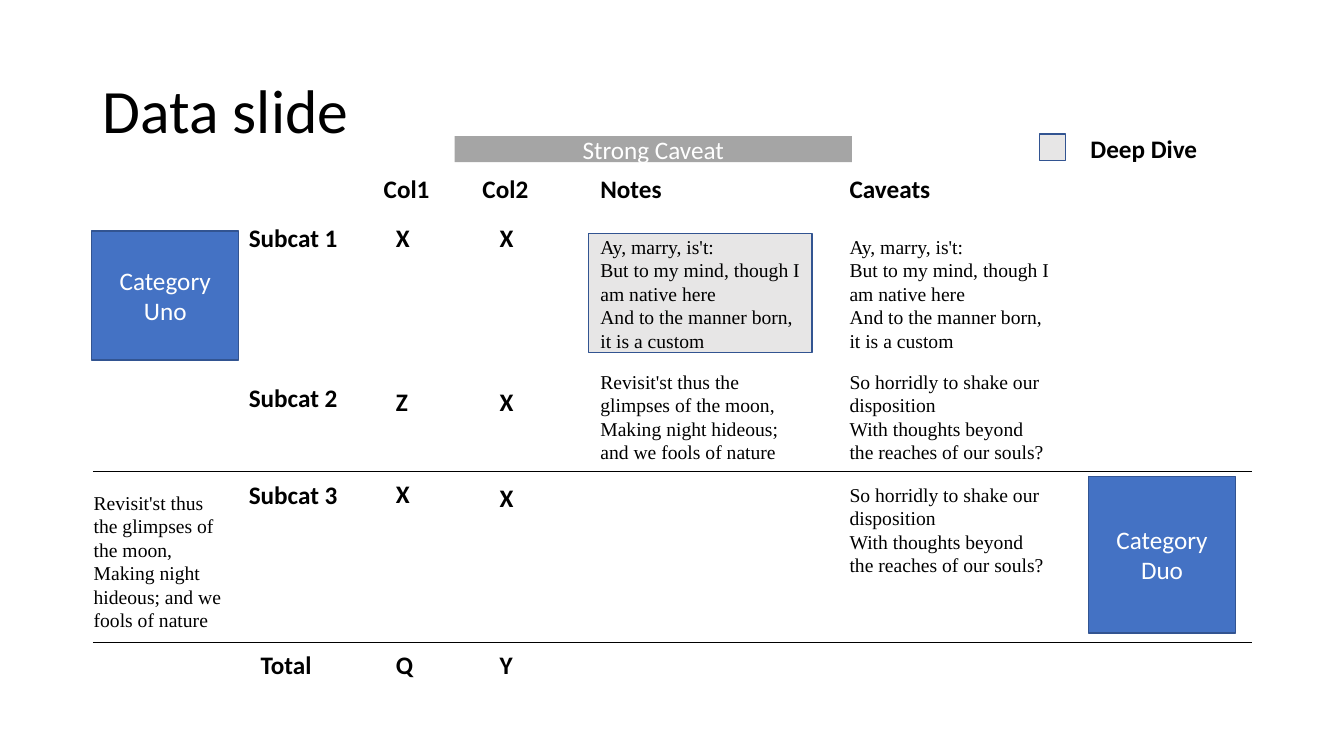
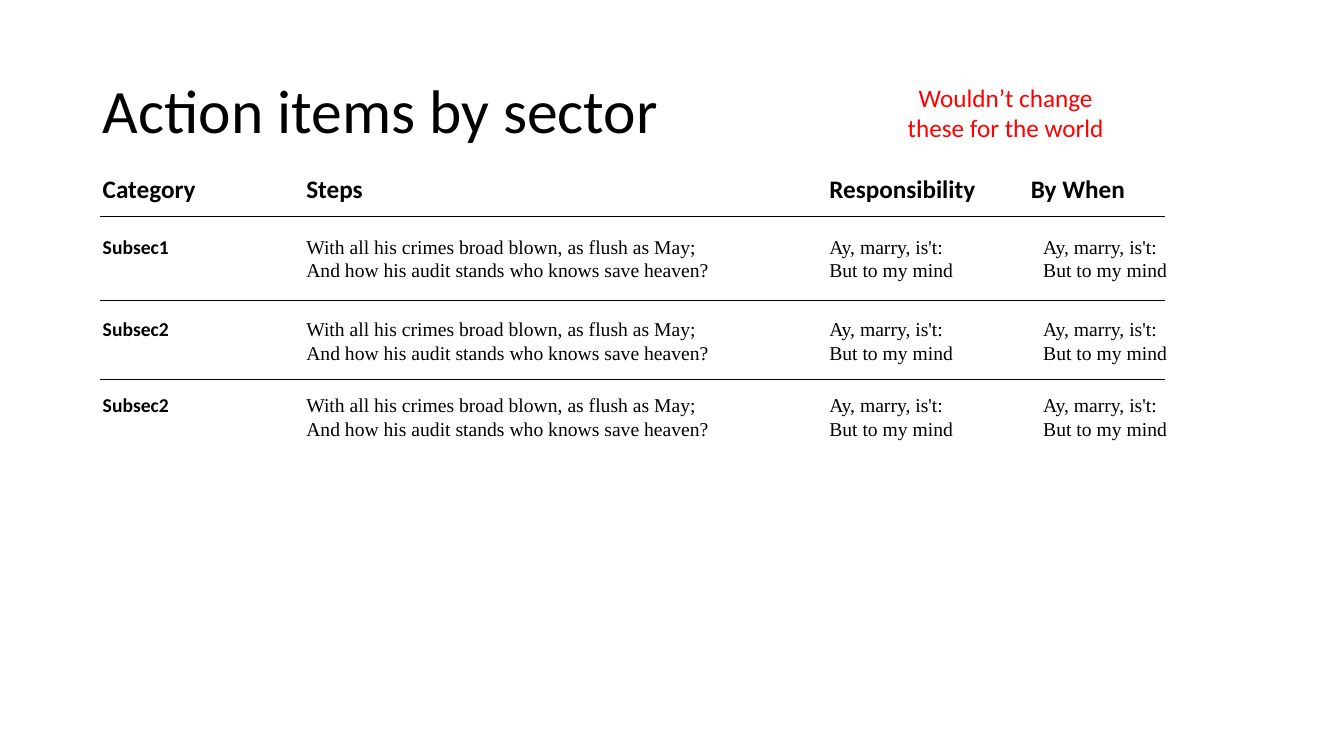
"""Build a data slide and an action-item slide."""
from pptx import Presentation
from pptx.dml.color import RGBColor
from pptx.enum import shapes, text
from pptx.oxml import ns
from pptx.util import Cm, Pt
from lxml import etree

BLACK = RGBColor(0x00, 0x00, 0x00)
WHITE = RGBColor(0xFF, 0xFF, 0xFF)
RED = RGBColor(0xFF, 0x00, 0x00)
BLUE = RGBColor(0x44, 0x72, 0xC4)
NAVY = RGBColor(0x32, 0x54, 0x91)
GRAY = RGBColor(0xA5, 0xA5, 0xA5)
PALE = RGBColor(0xE7, 0xE6, 0xE6)

SANS = "Calibri"
SERIF = "Times New Roman"
LEFT = 2.34
HEAD_Y = 4.24
BODY_Y = 5.79

MARRY = "Ay, marry, is't:\nBut to my mind"
CUSTOM = MARRY + ", though I am native here\nAnd to the manner born, it is a custom"
MOON = ("Revisit'st thus the glimpses of the moon,\n"
        "Making night hideous; and we fools of nature")
SOULS = ("So horridly to shake our disposition\n"
         "With thoughts beyond the reaches of our souls?")
CRIMES = ("With all his crimes broad blown, as flush as May;\n"
          "And how his audit stands who knows save heaven?")


def write(frame, words, size, font=SANS, color=BLACK, bold=False):
    """Fill a frame with one paragraph, one run per line."""
    frame.word_wrap = True
    para = frame.paragraphs[0]
    for num, line in enumerate(words.split("\n")):
        if num:
            para.add_line_break()
        run = para.add_run()
        run.text = line
        run.font.size = Pt(size)
        run.font.name = font
        run.font.bold = bold
        run.font.color.rgb = color
    return para


def add_text(slide, words, x, y, w, h, size, **style):
    """Add a text box and return its frame and paragraph."""
    frame = slide.shapes.add_textbox(Cm(x), Cm(y), Cm(w), Cm(h)).text_frame
    return frame, write(frame, words, size, **style)


def add_title(slide, words):
    """Add the slide title."""
    frame, para = add_text(slide, words, LEFT, 1.02, 29.21, 3.68, 44)
    frame.vertical_anchor = text.MSO_ANCHOR.MIDDLE
    para.line_spacing = 0.9


def add_label(slide, words, x, y, w=3.38, size=18):
    """Add a bold one-line label."""
    add_text(slide, words, x, y, w, 1.02 if size == 18 else 0.86, size, bold=True)


def add_note(slide, words, x, y, w=5.61, rows=4):
    """Add a serif note that is a given number of rows tall."""
    add_text(slide, words, x, y, w, 0.27 + 0.6 * rows, 14, font=SERIF)


def add_box(slide, x, y, w, h, fill, edge=NAVY, words=""):
    """Add a rectangle with optional centred white text."""
    box = slide.shapes.add_shape(shapes.MSO_SHAPE.RECTANGLE,
                                 Cm(x), Cm(y), Cm(w), Cm(h))
    box.shadow.inherit = False
    box.fill.solid()
    box.fill.fore_color.rgb = fill
    if edge is None:
        box.line.fill.background()
    else:
        box.line.color.rgb = edge
        box.line.width = Pt(1)
    if words:
        box.text_frame.vertical_anchor = text.MSO_ANCHOR.MIDDLE
        para = write(box.text_frame, words, 18, color=WHITE)
        para.alignment = text.PP_ALIGN.CENTER


def add_rule(slide, x, end, y):
    """Add a thin horizontal rule."""
    rule = slide.shapes.add_connector(shapes.MSO_CONNECTOR.STRAIGHT,
                                      Cm(x), Cm(y), Cm(end), Cm(y))
    rule.line.color.rgb = BLACK
    rule.line.width = Pt(0.5)
    props = rule.element.find(ns.qn("p:spPr"))
    etree.SubElement(props, ns.qn("a:effectLst"))


def data_slide(slide):
    """Lay out the category matrix."""
    notes_x, cave_x = 14.88, 21.16
    add_box(slide, 14.83, 5.89, 5.64, 3, PALE)
    add_title(slide, "Data slide")
    for y in (11.89, 16.18):
        add_rule(slide, LEFT, 31.55, y)

    heads = (("Col1", 9.42), ("Col2", 11.91), ("Notes", notes_x), ("Caveats", cave_x))
    for words, x in heads:
        add_label(slide, words, x, HEAD_Y)

    rows = (("Subcat 1", 6.02, 5.49, "X", 5.49, "X", 5.49),
            ("Subcat 2", 6.02, 9.52, "Z", 9.6, "X", 9.6),
            ("Subcat 3", 6.02, 11.96, "X", 11.94, "X", 12.04),
            ("Total", 6.32, 16.23, "Q", 16.23, "Y", 16.23))
    for name, x, y, one, one_y, two, two_y in rows:
        add_label(slide, name, x, y)
        add_label(slide, one, 9.73, one_y, 1)
        add_label(slide, two, 12.34, two_y, 1)

    for x in (notes_x, cave_x):
        add_note(slide, CUSTOM, x, BODY_Y, rows=5)
    add_note(slide, MOON, notes_x, 9.19)
    for y in (9.19, 12.04):
        add_note(slide, SOULS, cave_x, y)
    add_note(slide, MOON, 2.11, 12.24, 3.91, 6)

    add_box(slide, 11.46, 3.43, 10.01, 0.66, GRAY, None, "Strong Caveat")
    add_box(slide, 2.31, 5.82, 3.71, 3.25, BLUE, words="Category Uno")
    add_box(slide, 27.43, 12.01, 3.71, 3.94, BLUE, words="Category Duo")
    add_box(slide, 26.19, 3.38, 0.66, 0.66, PALE)
    add_label(slide, "Deep Dive", 27.23, 3.23)


def action_slide(slide):
    """Lay out the action items."""
    add_title(slide, "Action items by sector")
    steps_x, resp_x = 7.47, 20.65
    heads = (("Category", LEFT), ("Steps", steps_x),
             ("Responsibility", resp_x), ("By When", 25.73))
    for words, x in heads:
        add_label(slide, words, x, HEAD_Y, 4.29)

    rows = (("Subsec1", BODY_Y, 5.46), ("Subsec2", 7.87, 7.57), ("Subsec2", 9.78, 9.55))
    for name, y, rule_y in rows:
        add_rule(slide, 2.51, 29.36, rule_y)
        add_label(slide, name, LEFT, y, 2.82, 14)
        add_note(slide, CRIMES, steps_x, y, 12.78, 2)
        for x in (resp_x, 26.04):
            add_note(slide, MARRY, x, y, 5.38, 2)

    frame, para = add_text(slide, "Wouldn’t change these for the world",
                           22.35, 2.51, 5.99, 0.66, 18, color=RED)
    frame.vertical_anchor = text.MSO_ANCHOR.MIDDLE
    para.alignment = text.PP_ALIGN.CENTER


def main():
    """Build and save the deck."""
    deck = Presentation()
    deck.slide_width = Cm(33.87)
    deck.slide_height = Cm(19.05)
    for build in (data_slide, action_slide):
        build(deck.slides.add_slide(deck.slide_layouts[6]))
    deck.save("out.pptx")


if __name__ == "__main__":
    main()
